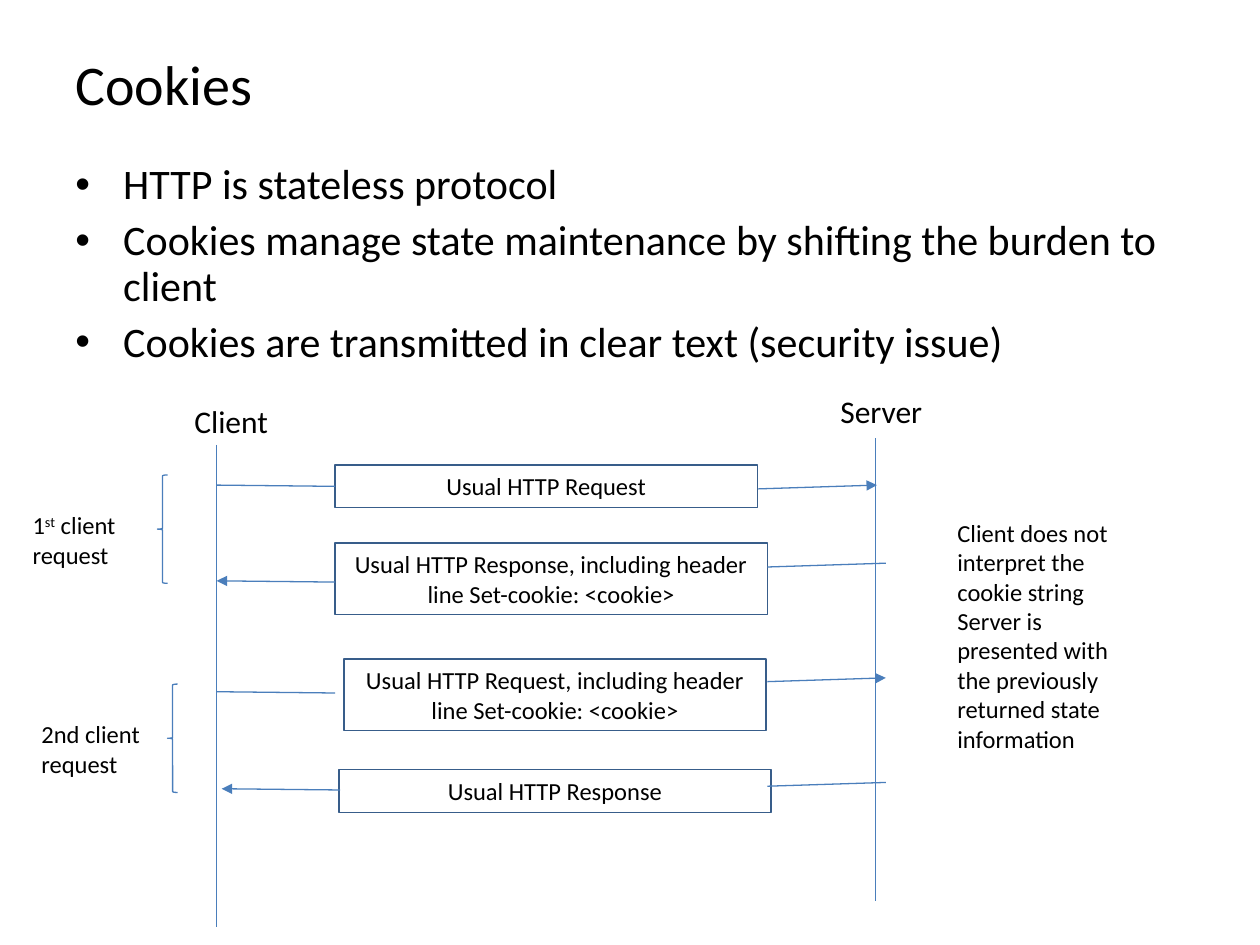
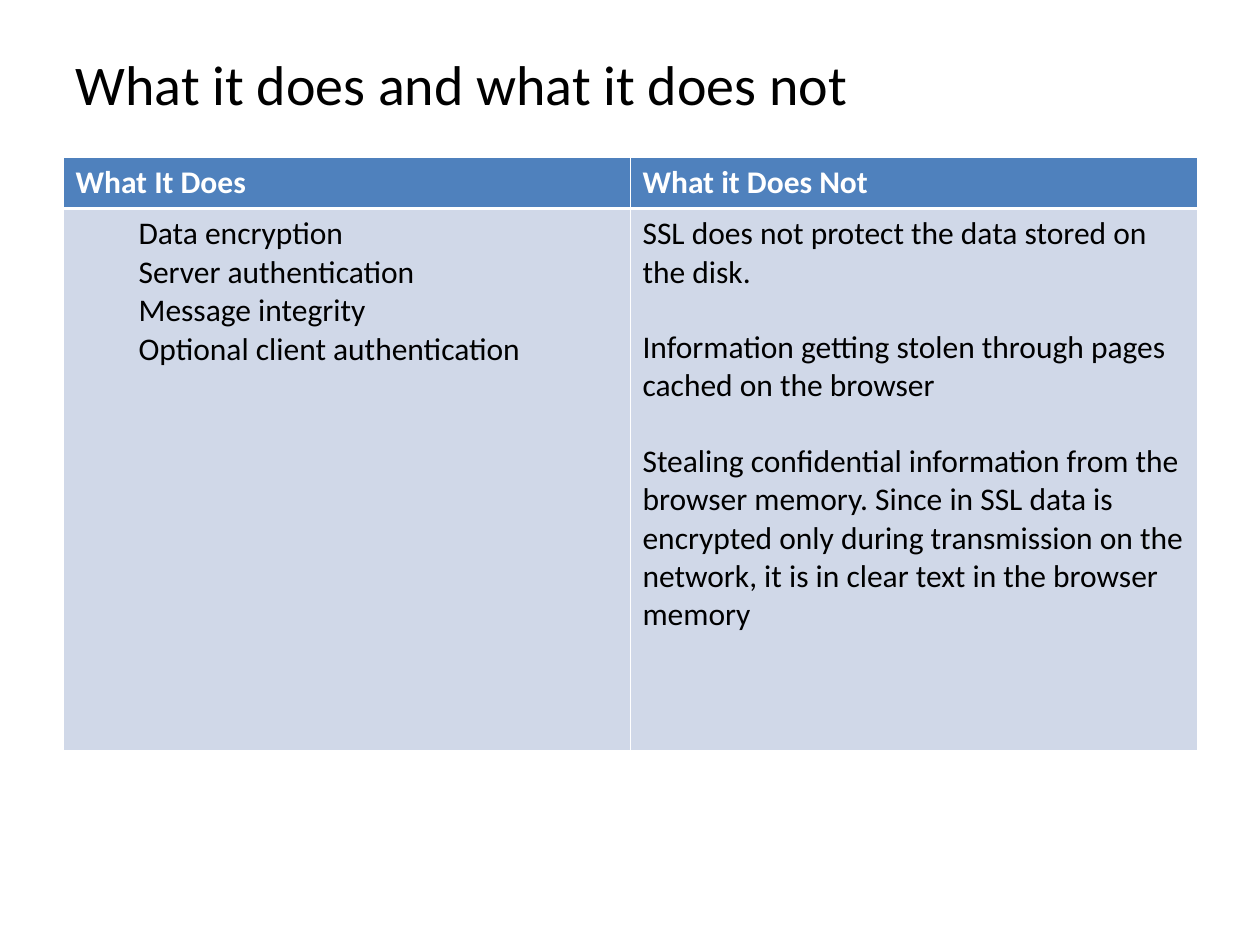
from pptx import Presentation
from pptx import util as u
from pptx.dml.color import RGBColor
from pptx.enum import shapes, text
from pptx.oxml import ns
from lxml import etree

BLACK = RGBColor(0, 0, 0)
WHITE = RGBColor(255, 255, 255)
LINE = RGBColor(0x4A, 0x7E, 0xBB)
EDGE = RGBColor(0x38, 0x5D, 0x8A)
HEAD = RGBColor(0x4F, 0x81, 0xBD)
CELL = RGBColor(0xD0, 0xD8, 0xE8)
FONT = "Calibri"
LEFT = text.PP_ALIGN.LEFT
MID = text.PP_ALIGN.CENTER

TITLES = ["Cookies", "What it does and what it does not"]
POINTS = [
    "HTTP is stateless protocol",
    "Cookies manage state maintenance by shifting the burden to client",
    "Cookies are transmitted in clear text (security issue)",
]
ENDS = [
    ("Client", 1.17, 3.14, 1.72, 3.53, 7.36),
    ("Server", 6.33, 3.06, 6.95, 3.48, 7.15),
]
STEPS = [
    ("Usual HTTP Request", True, (2.66, 3.69, 3.35, 0.34), (1.72, 3.85), (6.02, 3.88)),
    ("Usual HTTP Response, including header line Set-cookie: <cookie>", False,
     (2.66, 4.31, 3.43, 0.57), (1.72, 4.61), (6.09, 4.5)),
    ("Usual HTTP Request, including header line Set-cookie: <cookie>", True,
     (2.73, 5.23, 3.35, 0.57), (1.72, 5.49), (6.09, 5.41)),
    ("Usual HTTP Response", False, (2.69, 6.11, 3.43, 0.34), (1.76, 6.26), (6.09, 6.24)),
]
ROUNDS = [
    ([("1", 0), ("st", 30000), (" client request", 0)], (0.16, 4.0), (1.25, 3.77)),
    ("2nd client request", (0.23, 5.66), (1.33, 5.43)),
]
NOTES = [
    "Client does not interpret the cookie string",
    "Server is presented with the previously returned state information",
]
TABLE = [
    ("What It Does", [
        "Data encryption",
        "Server authentication",
        "Message integrity",
        "Optional client authentication",
    ], dict(indent=0.5)),
    ("What it Does Not", [
        "SSL does not protect the data stored on the disk.",
        "Information getting stolen through pages cached on the browser",
        "Stealing confidential information from the browser memory. Since in SSL data is "
        "encrypted only during transmission on the network, it is in clear text in the "
        "browser memory",
    ], dict(gap=21)),
]


def inch(*nums):
    return [u.Inches(n) for n in nums]


def write(frame, paras, size=14, color=BLACK, bold=False, align=LEFT,
          gap=0, indent=0, hang=0, space=1.0, anchor=text.MSO_ANCHOR.TOP):
    frame.word_wrap = True
    frame.auto_size = text.MSO_AUTO_SIZE.NONE
    frame.vertical_anchor = anchor
    fill(frame, paras, size, color, bold, align, gap, indent, hang, space)


def fill(frame, paras, size=18, color=BLACK, bold=False, align=LEFT,
         gap=0, indent=0, hang=0, space=1.0):
    for i, para in enumerate(paras):
        p = frame.paragraphs[0] if i == 0 else frame.add_paragraph()
        p.alignment = align
        p.line_spacing = space
        p.space_before = u.Pt(gap if i else 0)
        props = p._p.get_or_add_pPr()
        if indent:
            props.set("marL", str(u.Inches(indent)))
            props.set("indent", str(-u.Inches(hang)))
        if hang:
            etree.SubElement(props, ns.qn("a:buFont"), typeface="Arial")
            etree.SubElement(props, ns.qn("a:buChar"), char="•")
        for words, base in [(para, 0)] if isinstance(para, str) else para:
            run = p.add_run()
            run.text = words
            run.font.name = FONT
            run.font.size = u.Pt(size)
            run.font.bold = bold
            run.font.color.rgb = color
            if base:
                run._r.get_or_add_rPr().set("baseline", str(base))


def label(slide, box, paras, **form):
    write(slide.shapes.add_textbox(*inch(*box)).text_frame, paras, **form)


def shape(slide, kind, box, color):
    item = slide.shapes.add_shape(kind, *inch(*box))
    item.shadow.inherit = False
    item.fill.background()
    item.line.color.rgb = color
    item.line.width = u.Pt(0.75)
    return item


def line(slide, start, end, arrow=False):
    item = slide.shapes.add_connector(shapes.MSO_CONNECTOR.STRAIGHT, *inch(*start, *end))
    item.line.color.rgb = LINE
    item.line.width = u.Pt(0.75)
    if arrow:
        etree.SubElement(item.line._get_or_add_ln(), ns.qn("a:tailEnd"), type="triangle")
    etree.SubElement(item._element.spPr, ns.qn("a:effectLst"))


def border(cell, **sides):
    props = cell._tc.get_or_add_tcPr()
    for i, side in enumerate("LRTB"):
        ln = etree.Element(ns.qn("a:ln" + side), w=str(u.Pt(sides.get(side, 0.45))))
        solid = etree.SubElement(ln, ns.qn("a:solidFill"))
        etree.SubElement(solid, ns.qn("a:srgbClr"), val=str(WHITE))
        props.insert(i, ln)


def page(deck, title):
    slide = deck.slides.add_slide(deck.slide_layouts[5])
    head = slide.shapes.title
    head.left, head.top, head.width, head.height = inch(0.5, 0.3, 9.11, 0.72)
    write(head.text_frame, [title], size=32, anchor=text.MSO_ANCHOR.MIDDLE)
    return slide


def cookies(slide):
    label(slide, (0.5, 1.25, 9, 1.8), POINTS, size=24, gap=6, indent=0.38, hang=0.38, space=0.9)
    for name, left, top, x, start, end in ENDS:
        line(slide, (x, start), (x, end))
        label(slide, (left, top, 1.33, 0.4), [name], size=18, align=MID)
    for words, ask, box, (cx, cy), (sx, sy) in STEPS:
        rect = shape(slide, shapes.MSO_SHAPE.RECTANGLE, box, EDGE)
        write(rect.text_frame, [words], align=MID)
        ends = [(cx, cy), (cx + 0.94, cy + 0.01)]
        line(slide, *(ends if ask else ends[::-1]), arrow=not ask)
        line(slide, (sx, sy), (sx + 0.94, sy - 0.03), arrow=ask)
    for words, spot, brace in ROUNDS:
        label(slide, (*spot, 1.02, 0.57), [words])
        shape(slide, shapes.MSO_SHAPE.LEFT_BRACE, (*brace, 0.08, 0.86), LINE)
    label(slide, (7.5, 4.06, 1.56, 1.97), NOTES)


def limits(slide):
    grid = slide.shapes.add_table(2, len(TABLE), *inch(0.5, 1.25, 9, 4.7)).table
    for row, high in zip(grid.rows, (0.4, 4.3)):
        row.height = u.Inches(high)
    for col, (name, paras, form) in enumerate(TABLE):
        top, low = grid.cell(0, col), grid.cell(1, col)
        fill(top.text_frame, [name], color=WHITE, bold=True)
        fill(low.text_frame, paras, **form)
        for cell, color, sides in (top, HEAD, dict(B=1.47)), (low, CELL, dict(T=1.47)):
            cell.fill.solid()
            cell.fill.fore_color.rgb = color
            border(cell, **sides)


def main():
    deck = Presentation()
    deck.slide_width, deck.slide_height = inch(10, 7.5)
    for title, draw in zip(TITLES, (cookies, limits)):
        draw(page(deck, title))
    deck.save("out.pptx")


if __name__ == "__main__":
    main()
